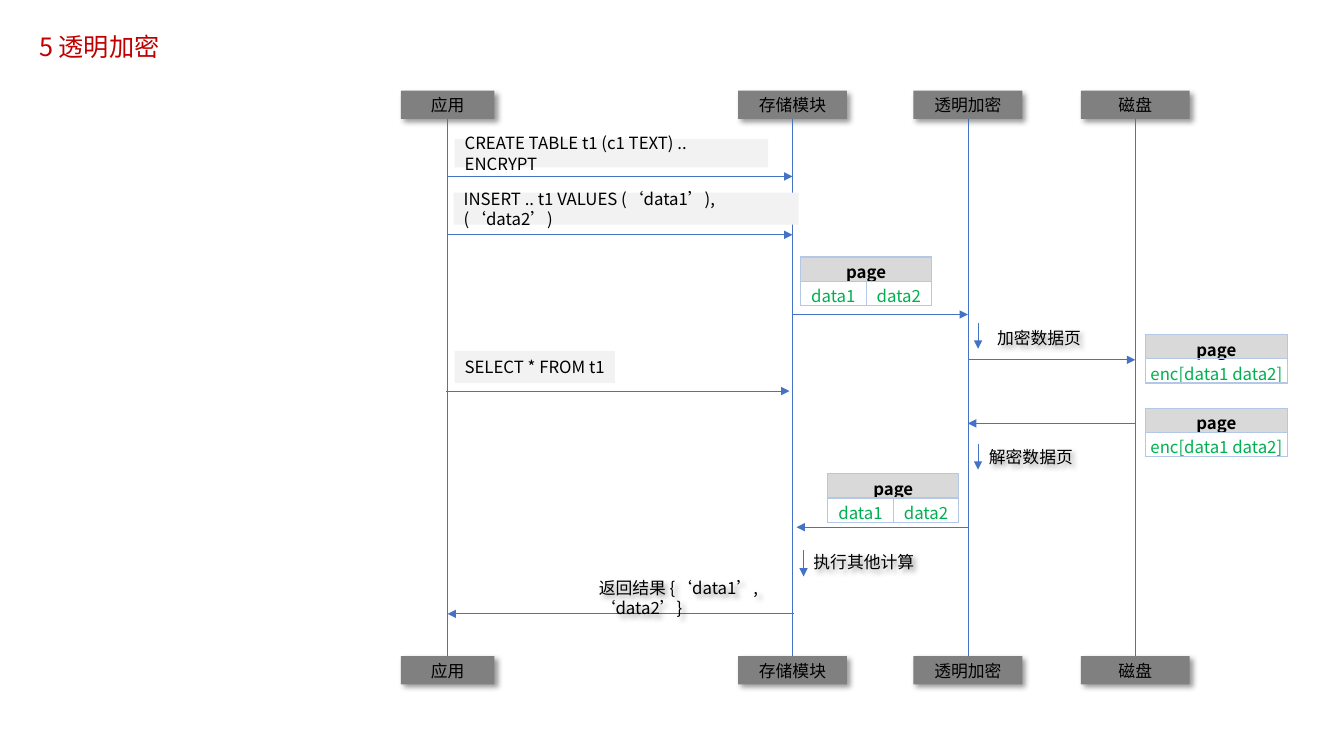
"""Builds the sequence diagram slide for transparent encryption."""
from dataclasses import dataclass

from lxml import etree
from pptx import Presentation
from pptx.dml.color import RGBColor
from pptx.enum.shapes import MSO_CONNECTOR, MSO_SHAPE
from pptx.enum.text import MSO_ANCHOR, PP_ALIGN
from pptx.oxml import parse_xml
from pptx.oxml.ns import nsdecls, qn
from pptx.util import Inches, Pt


@dataclass(frozen=True)
class Theme:
    font: str = "Noto Sans CJK SC"
    title_size: int = 18
    body_size: int = 12
    title: str = "C00000"
    text: str = "000000"
    data: str = "00B050"
    participant: str = "808080"
    statement: str = "F2F2F2"
    page_head: str = "D9D9D9"
    page_border: str = "B4C7E7"
    stroke: str = "4472C4"


theme = Theme()


def write(frame, text, size=theme.body_size, color=theme.text, bold=False,
          align=PP_ALIGN.LEFT, anchor=MSO_ANCHOR.MIDDLE):
    frame.word_wrap = True
    frame.vertical_anchor = anchor
    paragraph = frame.paragraphs[0]
    paragraph.alignment = align
    run = paragraph.add_run()
    run.text = text
    run.font.name = theme.font
    run.font.size = Pt(size)
    run.font.bold = bold
    run.font.color.rgb = RGBColor.from_string(color)
    etree.SubElement(run.font._element, qn("a:ea"), typeface=theme.font)


def cast_shadow(shape):
    shape.shadow.inherit = False
    effects = shape._element.spPr.find(qn("a:effectLst"))
    effects.append(parse_xml(
        f'<a:outerShdw {nsdecls("a")} blurRad="{Pt(4)}" dist="{Pt(3)}" dir="2700000" '
        'algn="tl" rotWithShape="0"><a:srgbClr val="000000"><a:alpha val="40000"/>'
        '</a:srgbClr></a:outerShdw>'))


deck = Presentation()
deck.slide_width, deck.slide_height = Inches(13.33), Inches(7.5)
slide = deck.slides.add_slide(deck.slide_layouts[6])
shapes = slide.shapes

title = shapes.add_textbox(Inches(0.29), Inches(0.26), Inches(1.86), Inches(0.4))
write(title.text_frame, "5 透明加密", size=theme.title_size, color=theme.title,
      anchor=MSO_ANCHOR.TOP)

app, storage, crypto, disk = 4.44, 7.86, 9.6, 11.26
head_top, foot_top, participant_height = 0.9, 6.51, 0.28
participants = [("应用", app, 0.93), ("存储模块", storage, 1.08),
                ("透明加密", crypto, 1.08), ("磁盘", disk, 1.08)]
strokes = []
for name, center, width in participants:
    ends = []
    for top in (head_top, foot_top):
        participant = shapes.add_shape(
            MSO_SHAPE.RECTANGLE, Inches(center - width / 2), Inches(top),
            Inches(width), Inches(participant_height))
        participant.fill.solid()
        participant.fill.fore_color.rgb = RGBColor.from_string(theme.participant)
        participant.line.fill.background()
        cast_shadow(participant)
        write(participant.text_frame, name, align=PP_ALIGN.CENTER)
        ends.append(participant)
    strokes.append((center, head_top + participant_height, center, foot_top, ends))

messages = [(app, storage, 1.75), (app, storage, 2.33), (storage, crypto, 3.12),
            (crypto, disk, 3.57), (4.42, 7.83, 3.88), (disk, crypto, 4.2),
            (crypto, 7.9, 5.23), (7.88, app, 6.09)]
steps = [(9.7, 3.2), (9.7, 4.4), (7.97, 5.46)]
strokes += [(start, y, end, y, None) for start, end, y in messages]
strokes += [(x, top, x, top + 0.26, None) for x, top in steps]
for x1, y1, x2, y2, ends in strokes:
    stroke = shapes.add_connector(MSO_CONNECTOR.STRAIGHT, Inches(x1), Inches(y1),
                                  Inches(x2), Inches(y2))
    stroke.line.width = Pt(0.5)
    stroke.line.color.rgb = RGBColor.from_string(theme.stroke)
    if ends:
        stroke.begin_connect(ends[0], 2)
        stroke.end_connect(ends[1], 0)
    else:
        etree.SubElement(stroke.line._get_or_add_ln(), qn("a:tailEnd"), type="triangle")
    etree.SubElement(stroke._element.spPr, qn("a:effectLst"))

statements = [("CREATE TABLE t1 (c1 TEXT) .. ENCRYPT", 4.51, 1.38, 3.11, 0.28),
              ("INSERT .. t1 VALUES (‘data1’), (‘data2’)", 4.5, 1.91, 3.42, 0.32),
              ("SELECT * FROM t1", 4.51, 3.48, 1.59, 0.32)]
for sql, *box in statements:
    statement = shapes.add_shape(MSO_SHAPE.RECTANGLE, *map(Inches, box))
    statement.shadow.inherit = False
    statement.fill.solid()
    statement.fill.fore_color.rgb = RGBColor.from_string(theme.statement)
    statement.line.fill.background()
    write(statement.text_frame, sql)

plain, encrypted = ["data1", "data2"], ["enc[data1 data2]"]
pages = [(plain, 7.94, 2.55, 1.3), (encrypted, 11.36, 3.32, 1.41),
         (plain, 8.21, 4.7, 1.3), (encrypted, 11.36, 4.05, 1.41)]
row_height = 0.24
for values, left, top, width in pages:
    page = shapes.add_table(2, len(values), Inches(left), Inches(top),
                            Inches(width), Inches(2 * row_height)).table
    page.first_row = page.horz_banding = False
    for cell in page.iter_cells():
        cell.margin_left = cell.margin_right = Inches(0.02)
        cell.margin_top = cell.margin_bottom = Inches(0.02)
        cell.fill.background()
        for index, side in enumerate(("lnL", "lnR", "lnT", "lnB")):
            cell._tc.get_or_add_tcPr().insert(index, parse_xml(
                f'<a:{side} {nsdecls("a")} w="{Pt(1)}"><a:solidFill>'
                f'<a:srgbClr val="{theme.page_border}"/></a:solidFill></a:{side}>'))
    heading = page.cell(0, 0)
    if len(values) > 1:
        heading.merge(page.cell(0, len(values) - 1))
    heading.fill.solid()
    heading.fill.fore_color.rgb = RGBColor.from_string(theme.page_head)
    write(heading.text_frame, "page", bold=True, align=PP_ALIGN.CENTER,
          anchor=MSO_ANCHOR.TOP)
    for column, value in enumerate(values):
        write(page.cell(1, column).text_frame, value, color=theme.data,
              align=PP_ALIGN.CENTER, anchor=MSO_ANCHOR.TOP)

notes = [("加密数据页", 9.79, 3.18, 1.08), ("解密数据页", 9.71, 4.36, 1.08),
         ("执行其他计算", 7.97, 5.4, 1.27),
         ("返回结果 {‘data1’, ‘data2’}", 5.84, 5.76, 2.02)]
for text, left, top, width in notes:
    note = shapes.add_shape(MSO_SHAPE.RECTANGLE, Inches(left), Inches(top),
                            Inches(width), Inches(0.34))
    note.fill.background()
    note.line.fill.background()
    cast_shadow(note)
    write(note.text_frame, text)

deck.save("out.pptx")
